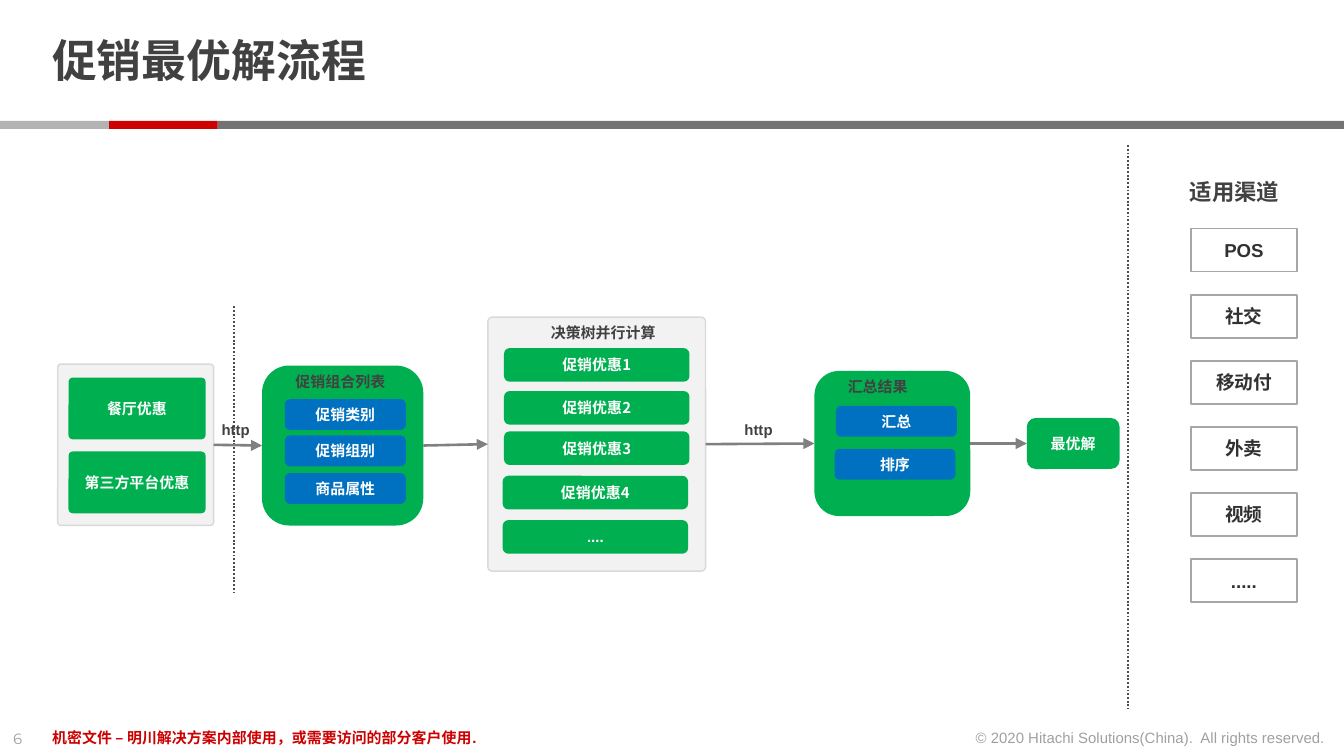
from dataclasses import dataclass

import lxml.etree
import pptx
import pptx.dml.color
import pptx.enum.dml
import pptx.enum.shapes
import pptx.enum.text
import pptx.oxml.ns
import pptx.util

Inches = pptx.util.Inches
Pt = pptx.util.Pt
RGBColor = pptx.dml.color.RGBColor
Shape = pptx.enum.shapes.MSO_SHAPE
Align = pptx.enum.text.PP_ALIGN
Anchor = pptx.enum.text.MSO_ANCHOR

WHITE = RGBColor(0xFF, 0xFF, 0xFF)
INK = RGBColor(0x41, 0x41, 0x41)
CHANNEL_INK = RGBColor(0x31, 0x31, 0x31)
FOOTER_GRAY = RGBColor(0xA0, 0xA0, 0xA0)
RED = RGBColor(0xCC, 0x00, 0x00)
BAR_LIGHT = RGBColor(0xB3, 0xB3, 0xB3)
BAR_DARK = RGBColor(0x73, 0x73, 0x73)
PANEL_FILL = RGBColor(0xF2, 0xF2, 0xF2)
PANEL_LINE = RGBColor(0xD9, 0xD9, 0xD9)
CHANNEL_LINE = RGBColor(0xA6, 0xA6, 0xA6)
ARROW_GRAY = RGBColor(0x80, 0x80, 0x80)
DIVIDER_GRAY = RGBColor(0x4C, 0x4C, 0x4C)
GREEN = RGBColor(0x00, 0xB0, 0x50)
BLUE = RGBColor(0x00, 0x70, 0xC0)
CJK = "Noto Sans CJK SC"


@dataclass(frozen=True)
class Box:
    left: float
    top: float
    width: float
    height: float
    fill: RGBColor | None = None
    line: RGBColor | None = None
    line_width: float = 1
    corner: float | None = 0.17


@dataclass(frozen=True)
class Item:
    text: str
    left: float
    top: float
    font: str = "Arial"


@dataclass(frozen=True)
class Stage:
    panel: Box
    item_width: float
    item_height: float
    item_fill: RGBColor
    items: tuple[Item, ...]
    item_corner: float = 0.17


@dataclass(frozen=True)
class Label:
    text: str
    left: float
    top: float
    width: float


STAGES = (
    Stage(Box(0.43, 2.71, 1.16, 1.2, PANEL_FILL, PANEL_LINE, 0.75, 0.02), 1.02, 0.46, GREEN,
          (Item("餐厅优惠", 0.51, 2.81), Item("第三方平台优惠", 0.51, 3.36)), 0.07),
    Stage(Box(1.95, 2.72, 1.2, 1.19, GREEN), 0.9, 0.23, BLUE,
          (Item("促销类别", 2.12, 2.97), Item("促销组别", 2.12, 3.24),
           Item("商品属性", 2.12, 3.52))),
    Stage(Box(3.63, 2.36, 1.62, 1.89, PANEL_FILL, PANEL_LINE, 0.75, 0.02), 1.38, 0.25, GREEN,
          (Item("促销优惠1", 3.75, 2.59, CJK), Item("促销优惠2", 3.75, 2.91, CJK),
           Item("促销优惠3", 3.75, 3.21, CJK), Item("促销优惠4", 3.74, 3.54, CJK),
           Item("....", 3.74, 3.87))),
    Stage(Box(6.06, 2.76, 1.16, 1.08, GREEN), 0.9, 0.23, BLUE,
          (Item("汇总", 6.22, 3.02), Item("排序", 6.21, 3.34))),
)
LABELS = (
    Label("http", 1.55, 3.08, 0.51),
    Label("促销组合列表", 2.1, 2.72, 0.9),
    Label("决策树并行计算", 4, 2.36, 1.12),
    Label("http", 5.44, 3.08, 0.51),
    Label("汇总结果", 6.21, 2.76, 0.9),
)
CHANNELS = ("POS", "社交", "移动付", "外卖", "视频", ".....")
CHANNEL_TOP = 1.7
CHANNEL_STEP = (4.16 - CHANNEL_TOP) / (len(CHANNELS) - 1)


def write_text(shape, text: str, *, size: float = 8, font: str = "Arial",
               color: RGBColor = INK, bold: bool = True, align=Align.LEFT,
               anchor=Anchor.TOP, wrap: bool = True, inset_x: float = 0.1,
               inset_y: float = 0.05, spacing: float | None = None) -> None:
    frame = shape.text_frame
    frame.word_wrap = wrap
    frame.vertical_anchor = anchor
    frame.margin_left = frame.margin_right = Inches(inset_x)
    frame.margin_top = frame.margin_bottom = Inches(inset_y)
    paragraph = frame.paragraphs[0]
    paragraph.alignment = align
    paragraph.line_spacing = spacing
    run = paragraph.add_run()
    run.text = text
    run.font.size = Pt(size)
    run.font.name = font
    run.font.bold = bold
    run.font.color.rgb = color


def add_box(slide, box: Box):
    kind = Shape.RECTANGLE if box.corner is None else Shape.ROUNDED_RECTANGLE
    shape = slide.shapes.add_shape(kind, Inches(box.left), Inches(box.top),
                                   Inches(box.width), Inches(box.height))
    shape.shadow.inherit = False
    if box.corner is not None:
        shape.adjustments[0] = box.corner
    if box.fill is None:
        shape.fill.background()
    else:
        shape.fill.solid()
        shape.fill.fore_color.rgb = box.fill
    if box.line is None:
        shape.line.fill.background()
    else:
        shape.line.color.rgb = box.line
        shape.line.width = Pt(box.line_width)
    return shape


def add_node(slide, box: Box, text: str, *, size: float = 8, font: str = "Arial",
             color: RGBColor = WHITE):
    shape = add_box(slide, box)
    write_text(shape, text, size=size, font=font, color=color, align=Align.CENTER,
               anchor=Anchor.MIDDLE, inset_x=0, inset_y=0)
    return shape


def add_text(slide, text: str, left: float, top: float, width: float, height: float,
             **text_format) -> None:
    shape = slide.shapes.add_textbox(Inches(left), Inches(top), Inches(width), Inches(height))
    write_text(shape, text, **text_format)


def add_line(slide, x: float, top: float, bottom: float, color: RGBColor, width: float):
    connector = slide.shapes.add_connector(
        pptx.enum.shapes.MSO_CONNECTOR.STRAIGHT, Inches(x), Inches(top), Inches(x), Inches(bottom))
    connector.line.color.rgb = color
    connector.line.width = Pt(width)
    properties = connector._element.spPr
    lxml.etree.SubElement(properties, pptx.oxml.ns.qn("a:effectLst"))
    return connector


def add_divider(slide, x: float, top: float, bottom: float) -> None:
    divider = add_line(slide, x, top, bottom, DIVIDER_GRAY, 1)
    divider.line.dash_style = pptx.enum.dml.MSO_LINE.ROUND_DOT


def add_arrow(slide, source, target) -> None:
    arrow = add_line(slide, 0, 0, 0, ARROW_GRAY, 1.4)
    arrow.begin_connect(source, 3)
    arrow.end_connect(target, 1)
    outline = arrow.line._get_or_add_ln()
    lxml.etree.SubElement(outline, pptx.oxml.ns.qn("a:tailEnd"), type="triangle")


def add_stage(slide, stage: Stage):
    panel = add_box(slide, stage.panel)
    for item in stage.items:
        box = Box(item.left, item.top, stage.item_width, stage.item_height,
                  stage.item_fill, corner=stage.item_corner)
        add_node(slide, box, item.text, font=item.font)
    return panel


def main() -> None:
    presentation = pptx.Presentation()
    presentation.slide_width = Inches(10)
    presentation.slide_height = Inches(10) * 9 // 16
    slide = presentation.slides.add_slide(presentation.slide_layouts[6])

    for left, width, color in ((1.62, 8.38, BAR_DARK), (0.81, 0.81, RED), (0, 0.81, BAR_LIGHT)):
        add_box(slide, Box(left, 0.9, width, 0.06, color, corner=None))
    add_text(slide, "促销最优解流程", 0.29, 0.11, 7.71, 0.73, size=24, font="Montserrat",
             anchor=Anchor.MIDDLE, inset_y=0, spacing=0.85)
    add_text(slide, "6", 0, 5.38, 0.34, 0.24, font="Montserrat", color=FOOTER_GRAY,
             bold=False, wrap=False)
    add_text(slide, "机密文件 – 明川解决方案内部使用，或需要访问的部分客户使用.",
             0.29, 5.37, 6.74, 0.24, color=RED)
    add_text(slide, "© 2020 Hitachi Solutions(China).  All rights reserved.",
             7.12, 5.37, 2.84, 0.24, color=FOOTER_GRAY, bold=False, align=Align.RIGHT, wrap=False)

    add_divider(slide, 1.74, 2.28, 4.42)
    add_divider(slide, 8.39, 1.08, 5.27)
    flow = [add_stage(slide, stage) for stage in STAGES]
    flow.append(add_node(slide, Box(7.64, 3.11, 0.69, 0.38, GREEN), "最优解"))
    for source, target in zip(flow, flow[1:]):
        add_arrow(slide, source, target)
    for label in LABELS:
        add_text(slide, label.text, label.left, label.top, label.width, 0.23)

    add_text(slide, "适用渠道", 8.73, 1.28, 0.91, 0.3, size=12, font=CJK, align=Align.CENTER)
    for index, channel in enumerate(CHANNELS):
        box = Box(8.86, CHANNEL_TOP + index * CHANNEL_STEP, 0.79, 0.32,
                  line=CHANNEL_LINE, corner=None)
        add_node(slide, box, channel, size=10, color=CHANNEL_INK)

    presentation.save("out.pptx")


if __name__ == "__main__":
    main()
